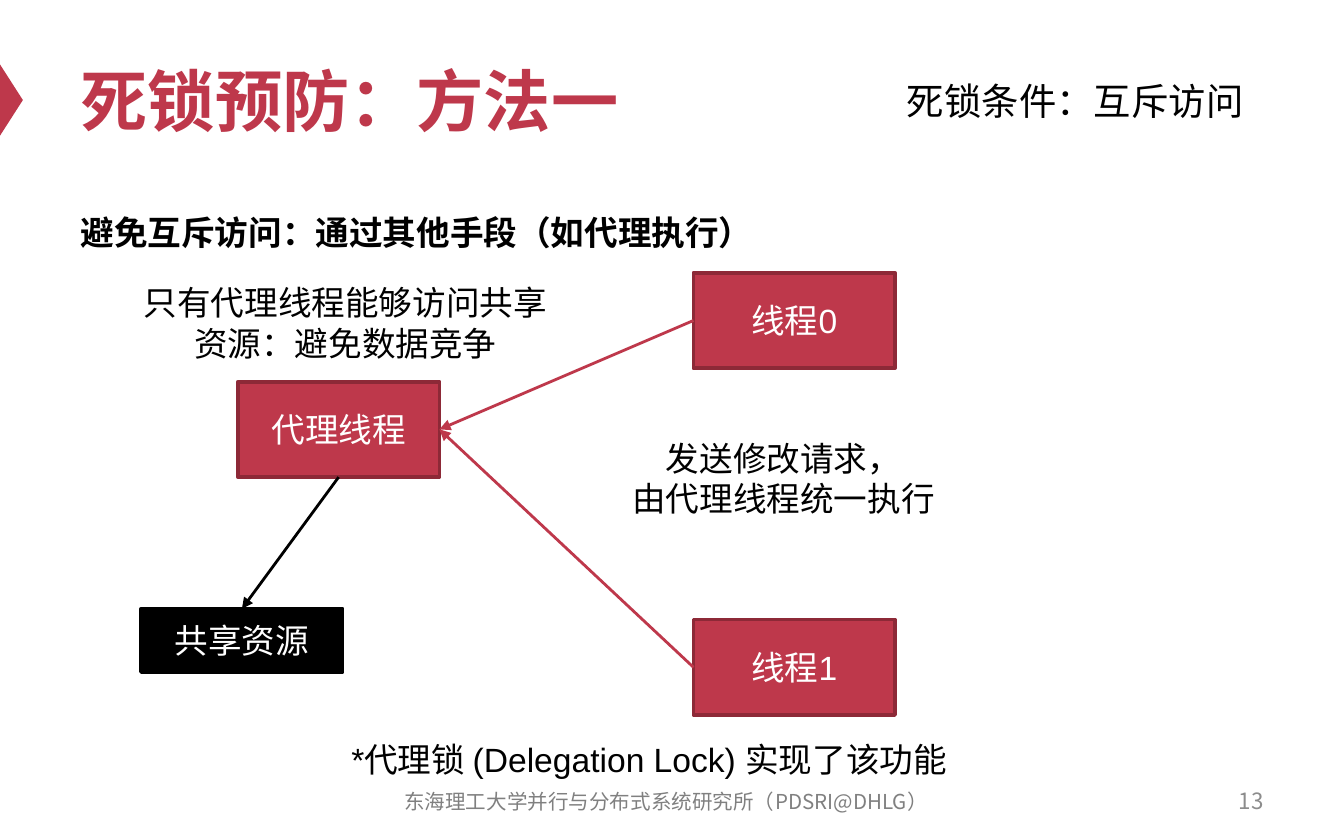
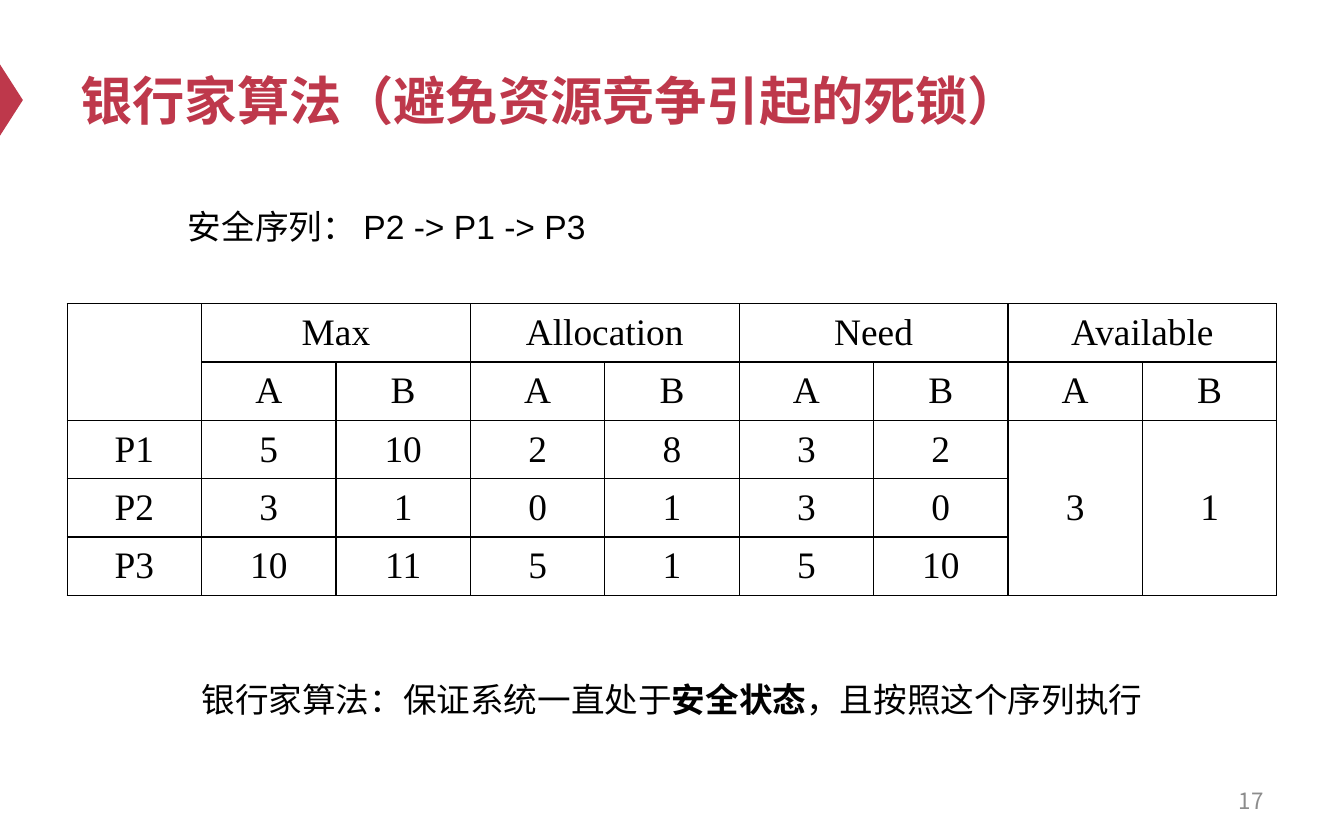
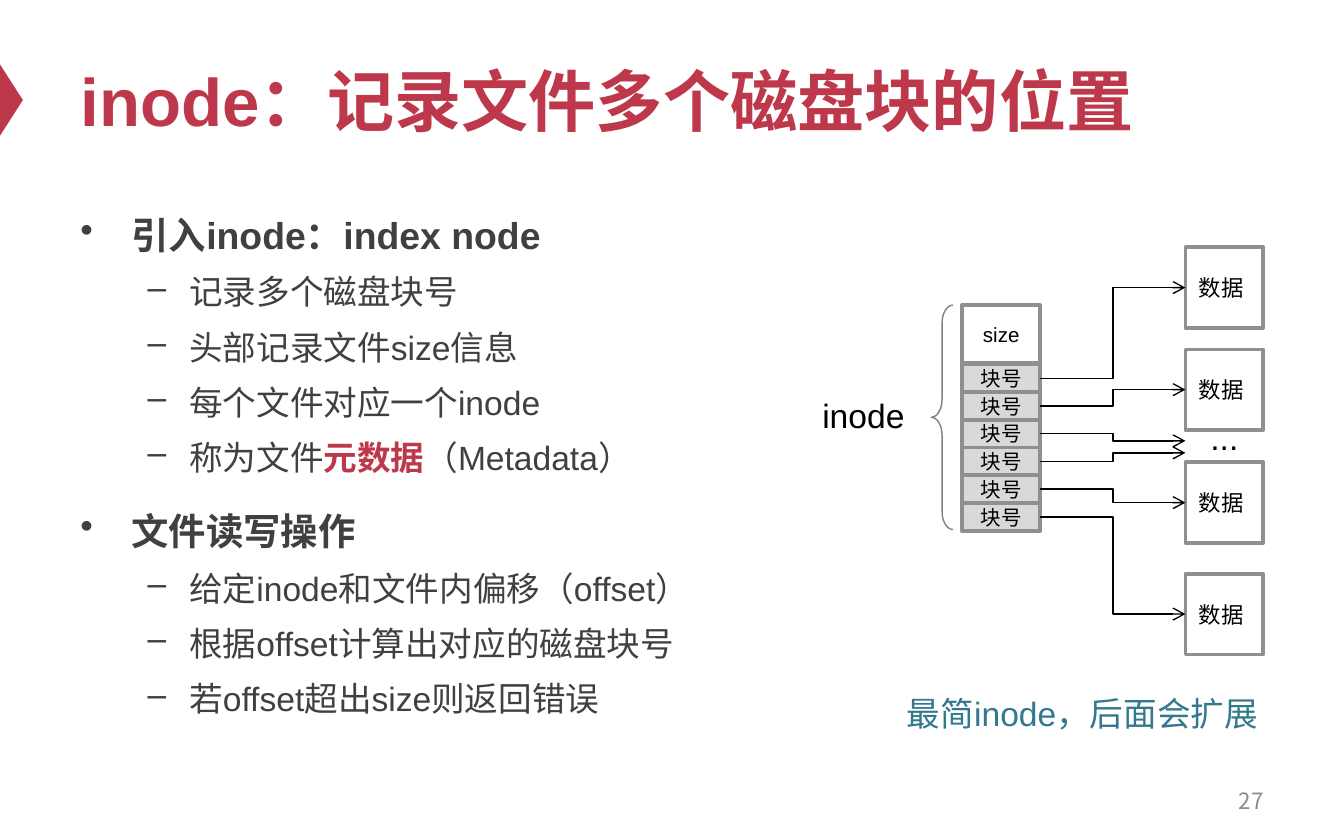
from lxml.etree import SubElement
from pptx import Presentation
from pptx.dml.color import RGBColor
from pptx.enum.lang import MSO_LANGUAGE_ID as Language
from pptx.enum.shapes import MSO_CONNECTOR as Connector, MSO_SHAPE as Preset
from pptx.enum.text import MSO_ANCHOR as Anchor, MSO_AUTO_SIZE as AutoSize, PP_ALIGN as Align
from pptx.oxml import parse_xml
from pptx.oxml.ns import nsdecls, qn
from pptx.util import Inches, Pt

COLORS = {name: RGBColor.from_string(value) for name, value in {
    "red": "BE384B", "dark red": "8D2937", "black": "000000", "white": "FFFFFF",
    "text": "404040", "footer": "808080", "number": "8C8C8C", "edge": "8F8F8F",
    "block": "D9D9D9", "teal": "32788E",
}.items()}
CJK_FONT = "Noto Sans CJK SC"
LEFT, CONTENT_WIDTH = 5, 90

deck = Presentation()
deck.slide_width, deck.slide_height = Inches(10), Inches(6.25)


def area(left, top, width=0, height=0):
    """Turn percentages of the slide's width and height into lengths."""
    return [int(share * side / 100) for share, side in zip(
        (left, top, width, height), (deck.slide_width, deck.slide_height) * 2)]


def add_box(page, place, text, size=18, color="black", align=Align.CENTER, fill=None,
            edge=None, font="Arial", bold=False, spacing=None, anchor=Anchor.TOP):
    """Add a text box, or a rectangle if there is a fill; |bars| enclose bold words."""
    if fill:
        box = page.shapes.add_shape(Preset.RECTANGLE, *area(*place))
        box._element.remove(box._element.find(qn("p:style")))
        box.fill.solid()
        box.fill.fore_color.rgb = COLORS[fill]
        box.line.color.rgb = COLORS[edge]
        box.line.width = Pt(2)
        anchor = Anchor.MIDDLE
    else:
        box = page.shapes.add_textbox(*area(*place))
    frame = box.text_frame
    frame.word_wrap = True
    frame.vertical_anchor = anchor
    for index, line in enumerate(text.split("\n")):
        para = frame.add_paragraph() if index else frame.paragraphs[0]
        para.alignment = align
        para.line_spacing = spacing
        para.font.name, para.font.size, para.font.bold = font, Pt(size), bold
        para.font.color.rgb = COLORS[color]
        para.font.language_id = Language.SIMPLIFIED_CHINESE
        for part, words in enumerate(line.split("|")):
            span = para.add_run()
            span.text = words
            if part % 2:
                span.font.bold = True
    return box


# Shared parts: title, red marker and page number
pages = []
for title, size, number in [
    ("死锁预防：方法一", 36, 13),
    ("银行家算法（避免资源竞争引起的死锁）", 28, 17),
    ("inode：记录文件多个磁盘块的位置", 36, 27),
]:
    page = deck.slides.add_slide(deck.slide_layouts[5])
    pages.append(page)
    heading = page.shapes.title
    heading.left, heading.top, heading.width, heading.height = area(
        LEFT, 4, CONTENT_WIDTH, 15.68)
    heading.text_frame.text = title
    heading.text_frame.auto_size = AutoSize.NONE
    heading.text_frame.vertical_anchor = Anchor.MIDDLE
    para = heading.text_frame.paragraphs[0]
    para.alignment = Align.LEFT
    para.font.name, para.font.size, para.font.bold = "Arial", Pt(size), True
    para.font.color.rgb = COLORS["red"]
    para.font.language_id = Language.SIMPLIFIED_CHINESE

    marker = page.shapes.add_shape(Preset.ISOSCELES_TRIANGLE, *area(-1.8, 10.56, 5.3, 2.72))
    marker.rotation = 90
    marker.shadow.inherit = False
    marker.fill.solid()
    marker.fill.fore_color.rgb = COLORS["red"]
    marker.line.fill.background()

    add_box(page, (71.7, 92.64, 23.3, 5.28), str(number), 12, "number", Align.RIGHT,
            font=CJK_FONT, anchor=Anchor.MIDDLE)

prevention_page, banker_page, inode_page = pages
arrows = []  # connector, colour, width, head

# Deadlock prevention by delegation
page = prevention_page
add_box(page, (LEFT, 19.68, 71.5, 9.76), "避免互斥访问：通过其他手段（如代理执行）",
        align=Align.LEFT, bold=True, spacing=2)
add_box(page, (27.9, 92.8, 43.3, 5.28), "东海理工大学并行与分布式系统研究所（PDSRI@DHLG）",
        11, "footer", font=CJK_FONT, anchor=Anchor.MIDDLE)
add_box(page, (66.5, 8.48, 28, 7.04), "死锁条件：互斥访问", 20, align=Align.LEFT)
for place, note in [
    ((9.5, 32.8, 32.4, 11.36), "只有代理线程能够访问共享资源：避免数据竞争"),
    ((42.1, 51.36, 32.4, 11.36), "发送修改请求，\n由代理线程统一执行"),
    ((22.1, 87.2, 52.4, 6.4), "*代理锁 (Delegation Lock) 实现了该功能"),
]:
    add_box(page, place, note)

proxy, thread_0, thread_1 = [
    add_box(page, (left, top, 15, 11.36), name, color="white", fill="red", edge="dark red")
    for left, top, name in [
        (17.7, 45.44, "代理线程"), (51.6, 32.48, "线程0"), (51.6, 73.76, "线程1")]]
resource = add_box(page, (10.5, 72.48, 15, 7.52), "共享资源", color="white",
                   fill="black", edge="black")
for start, start_side, end, end_side, color in [
    (proxy, 2, resource, 0, "black"),
    (thread_0, 1, proxy, 3, "red"),
    (thread_1, 1, proxy, 3, "red"),
]:
    link = page.shapes.add_connector(Connector.STRAIGHT, 0, 0, 0, 0)
    link.begin_connect(start, start_side)
    link.end_connect(end, end_side)
    arrows.append((link, color, 1.5, "triangle"))

# Banker's algorithm
page = banker_page
add_box(page, (13, 21.28, 76.4, 8), "安全序列： P2 -> P1 -> P3", align=Align.LEFT, spacing=1.5)
add_box(page, (11.8, 77.6, 76.4, 8),
        "银行家算法：保证系统一直处于|安全状态|，且按照这个序列执行", spacing=1.5)

resource_rows = [
    ["", "Max", "", "Allocation", "", "Need", "", "Available", ""],
    [""] + ["A", "B"] * 4,
    ["P1", "5", "10", "2", "8", "3", "2", "3", "1"],
    ["P2", "3", "1", "0", "1", "3", "0", "", ""],
    ["P3", "10", "11", "5", "1", "5", "10", "", ""],
]
table = page.shapes.add_table(5, 9, *area(LEFT, 36.16, CONTENT_WIDTH, 34.72)).table
table.first_row = table.horz_banding = False
for row, values in enumerate(resource_rows):
    for column, value in enumerate(values):
        cell = table.cell(row, column)
        cell.vertical_anchor = Anchor.MIDDLE
        para = cell.text_frame.paragraphs[0]
        para.alignment = Align.CENTER
        para.font.name, para.font.size = "Times New Roman", Pt(20)
        para.font.color.rgb = COLORS["black"]
        if value:
            para.add_run().text = value
        for side in "LRTB":
            cell._tc.get_or_add_tcPr().append(parse_xml(
                f'<a:ln{side} {nsdecls("a")} w="{Pt(0.75)}"><a:solidFill>'
                f'<a:srgbClr val="{COLORS["black"]}"/></a:solidFill></a:ln{side}>'))
        cell.fill.background()
table.cell(0, 0).merge(table.cell(1, 0))
for column in range(1, 9, 2):
    table.cell(0, column).merge(table.cell(0, column + 1))
for column in (7, 8):
    table.cell(2, column).merge(table.cell(4, column))

# Inode: bullets
page = inode_page
topics = ["引入inode：index node", "文件读写操作"]
body = add_box(page, (LEFT, 23.36, CONTENT_WIDTH, 65.92), "\n".join([
    topics[0],
    "记录多个磁盘块号",
    "头部记录文件size信息",
    "每个文件对应一个inode",
    "称为文件|元数据|（Metadata）",
    topics[1],
    "给定inode和文件内偏移（offset）",
    "根据offset计算出对应的磁盘块号",
    "若offset超出size则返回错误",
]), color="text", align=Align.LEFT, spacing=1.2)
for para in body.text_frame.paragraphs:
    is_topic = para.text in topics
    para.level = 0 if is_topic else 1
    para.space_before = Pt(12 if is_topic else 3.6)
    para.font.size = Pt(20 if is_topic else 18)
    para.font.bold = is_topic
    margin, indent = (0.38, -0.38) if is_topic else (0.81, -0.31)
    properties = para._p.get_or_add_pPr()
    properties.set("marL", str(Inches(margin)))
    properties.set("indent", str(Inches(indent)))
    bullet = parse_xml(f'<a:buChar {nsdecls("a")} char="{"•" if is_topic else "–"}"/>')
    properties.find(qn("a:defRPr")).addprevious(bullet)
    for span in para.runs:
        if span.font.bold:
            span.font.color.rgb = COLORS["red"]

# Inode: block numbers pointing to data
add_box(page, (71.6, 36.32, 5.8, 6.88), "size", 11, fill="white", edge="edge")
blocks = [add_box(page, (71.6, 43.36 + 3.3 * row, 5.8, 3.36), "块号", 11,
                  fill="block", edge="edge") for row in range(6)]
brace = page.shapes.add_shape(Preset.LEFT_BRACE, *area(69.3, 36.32, 1.6, 26.72))
brace.shadow.inherit = False
brace.adjustments[0] = 0.84
brace.fill.background()
brace.line.color.rgb = COLORS["footer"]
brace.line.width = Pt(0.75)

data_left = 88.2
data_boxes = [add_box(page, (data_left, top, 5.8, 9.6), "数据", 12, align=Align.LEFT,
                      fill="white", edge="edge") for top in (29.44, 41.6, 55.04, 68.32)]
add_box(page, (86.9, 48.8, 8.4, 6.4), "...")
add_box(page, (60.2, 46.24, 10, 6.4), "inode", align=Align.LEFT)
add_box(page, (66.5, 81.76, 32, 6.4), "最简inode，后面会扩展", color="teal", align=Align.LEFT)

# Middle blocks point at the dots, so their ends are heights instead of boxes
for block, target in zip(blocks, data_boxes[:2] + [52.48, 53.92] + data_boxes[2:]):
    is_height = isinstance(target, float)
    end = area(data_left, target if is_height else 0)[:2]
    link = page.shapes.add_connector(Connector.ELBOW, 0, 0, *end)
    link.begin_connect(block, 3)
    if not is_height:
        link.end_connect(target, 1)
    arrows.append((link, "black", 0.75, "arrow"))

for link, color, width, head in arrows:
    link._element.remove(link._element.find(qn("p:style")))
    link.line.color.rgb = COLORS[color]
    link.line.width = Pt(width)
    properties = link._element.spPr
    SubElement(properties.find(qn("a:ln")), qn("a:tailEnd"), type=head)
    SubElement(properties, qn("a:effectLst"))

deck.save("out.pptx")
